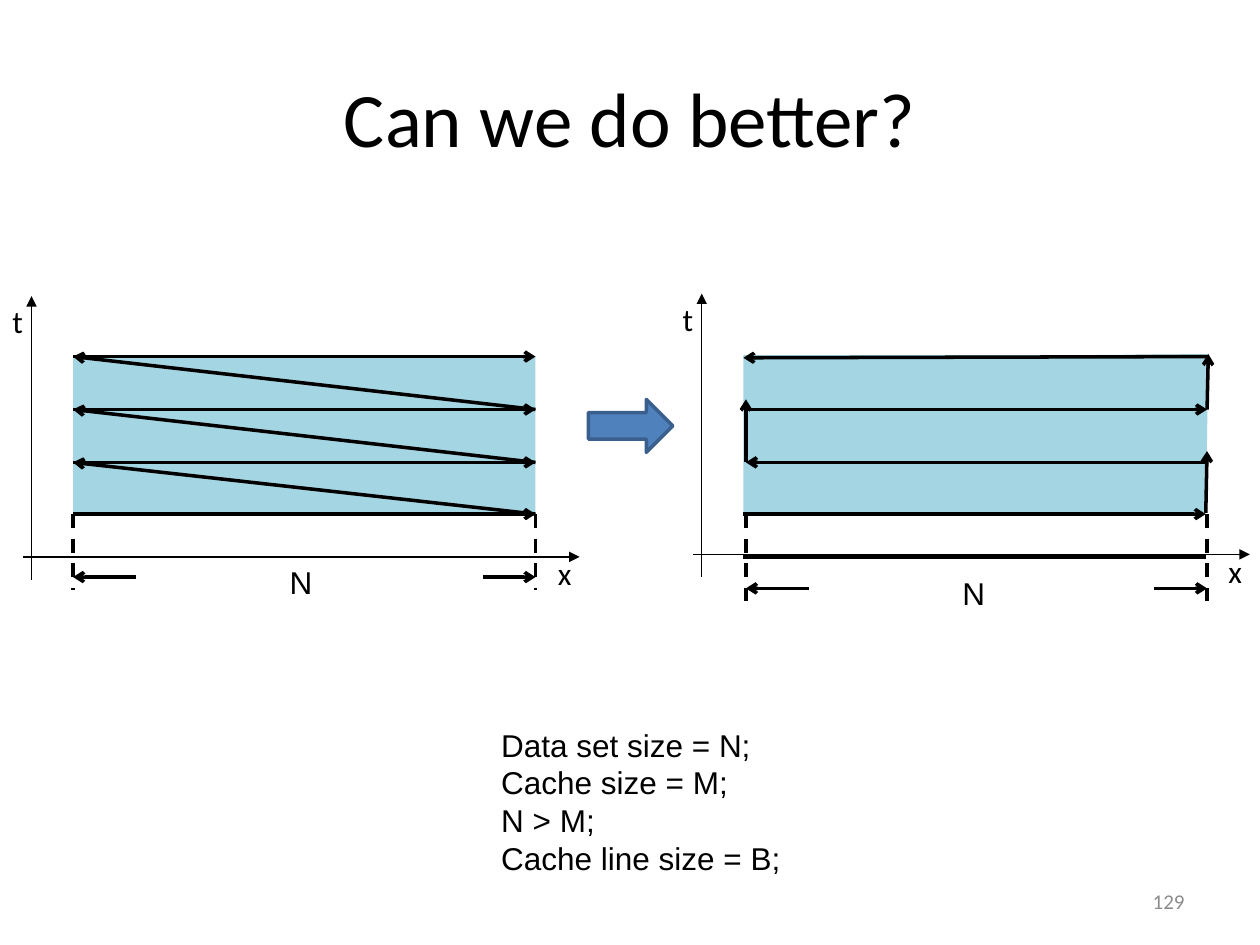
import pptx
import pptx.util
import pptx.dml.color
import pptx.enum.dml
import pptx.enum.shapes
import pptx.enum.text
import pptx.oxml.ns
from lxml import etree

Inches = pptx.util.Inches
Pt = pptx.util.Pt
ALIGN = pptx.enum.text.PP_ALIGN
ANCHOR = pptx.enum.text.MSO_ANCHOR

COLORS = {
    "ink": "000000",
    "region": "4BACC6",
    "arrow": "4F81BD",
    "arrow_edge": "3A5F8C",
    "page": "8C8C8C",
}
ROWS = [4.08, 3.67, 3.25, 2.83]  # time steps, from first to last


def rgb(name):
    return pptx.dml.color.RGBColor.from_string(COLORS[name])


class SlideBuilder:
    """Holds the slide and the style of its elements."""

    def __init__(self, slide):
        self.slide = slide

    def style_paragraph(self, paragraph, size, font, color, align):
        paragraph.alignment = align
        paragraph.font.size = Pt(size)
        paragraph.font.name = font
        paragraph.font.color.rgb = rgb(color)

    def title(self, text):
        shape = self.slide.shapes.title
        shape.left, shape.top = Inches(0.5), Inches(0.3)
        shape.width, shape.height = Inches(9), Inches(1.25)
        shape.text_frame.text = text
        shape.text_frame.vertical_anchor = ANCHOR.MIDDLE
        self.style_paragraph(shape.text_frame.paragraphs[0], 44, "Calibri", "ink", ALIGN.CENTER)

    def text(self, box, lines, font="Arial", size=18, color="ink",
             align=ALIGN.LEFT, anchor=ANCHOR.TOP, wrap=False):
        shape = self.slide.shapes.add_textbox(*map(Inches, box))
        frame = shape.text_frame
        frame.word_wrap = wrap
        frame.vertical_anchor = anchor
        frame.text = "\n".join(lines)
        for paragraph in frame.paragraphs:
            self.style_paragraph(paragraph, size, font, color, align)

    def line(self, start, end, width=2, head=None, dashed=False):
        connector = self.slide.shapes.add_connector(
            pptx.enum.shapes.MSO_CONNECTOR.STRAIGHT, *map(Inches, (*start, *end)))
        connector.line.color.rgb = rgb("ink")
        connector.line.width = Pt(width)
        if dashed:
            connector.line.dash_style = pptx.enum.dml.MSO_LINE.DASH
        properties = connector._element.spPr
        if head:
            outline = properties.find(pptx.oxml.ns.qn("a:ln"))
            etree.SubElement(outline, pptx.oxml.ns.qn("a:tailEnd"), type=head)
        etree.SubElement(properties, pptx.oxml.ns.qn("a:effectLst"))

    def arrow(self, start, end):
        self.line(start, end, head="arrow")

    def region(self, points):
        corners = [tuple(map(Inches, point)) for point in points]
        builder = self.slide.shapes.build_freeform(*corners[0])
        builder.add_line_segments(corners[1:], close=True)
        shape = builder.convert_to_shape()
        shape.shadow.inherit = False
        shape.fill.solid()
        shape.fill.fore_color.rgb = rgb("region")
        shape.line.fill.background()
        color = shape._element.spPr.find(".//" + pptx.oxml.ns.qn("a:srgbClr"))
        etree.SubElement(color, pptx.oxml.ns.qn("a:alpha"), val="50000")

    def block_arrow(self, box):
        shape = self.slide.shapes.add_shape(
            pptx.enum.shapes.MSO_SHAPE.RIGHT_ARROW, *map(Inches, box))
        shape.shadow.inherit = False
        shape.fill.solid()
        shape.fill.fore_color.rgb = rgb("arrow")
        shape.line.color.rgb = rgb("arrow_edge")
        shape.line.width = Pt(2)

    def axes(self, x, y):
        """Draw the x and t axes crossing at (x, y)."""
        self.line((x - 0.07, y), (x + 4.35, y), 0.75, "triangle")
        self.line((x, y + 0.18), (x, y - 2.07), 0.75, "triangle")
        self.text((x - 0.25, y - 2.07, 0.3, 0.4), ["t"], "Calibri")
        self.text((x + 4.08, y - 0.07, 0.35, 0.4), ["x"], "Calibri")

    def extent(self, left, right, y):
        """Mark the data set size N between two dashed lines."""
        for x, tail in ((left, left + 0.5), (right, right - 0.42)):
            self.line((x, ROWS[0]), (x, y + 0.1), dashed=True)
            self.arrow((tail, y), (x, y))
        self.text((left + 1.62, y - 0.16, 0.38, 0.4), ["N"])


def main():
    presentation = pptx.Presentation()
    presentation.slide_width, presentation.slide_height = Inches(10), Inches(7.5)
    slide = presentation.slides.add_slide(presentation.slide_layouts[5])
    builder = SlideBuilder(slide)
    builder.title("Can we do better?")

    # Left diagram: every sweep starts again from the left
    left, right = 0.58, 4.25
    builder.axes(0.25, 4.42)
    builder.region([(left, ROWS[-1]), (right, ROWS[-1]), (right, ROWS[0]), (left, ROWS[0])])
    builder.extent(left, right, 4.58)
    for y in ROWS:
        builder.arrow((left, y), (right, y))
    for y, next_y in zip(ROWS, ROWS[1:]):
        builder.arrow((right, y), (left, next_y))

    # Block arrow between the diagrams
    builder.block_arrow((4.67, 3.17, 0.67, 0.42))

    # Right diagram: sweeps alternate in direction
    left, right = 5.92, 9.58
    builder.axes(5.57, 4.4)
    builder.region([(5.9, 2.82), (8.49, 2.82), (9.59, 2.81), (9.57, 4.07), (5.9, 4.07)])
    builder.line((5.9, 4.42), (9.57, 4.42))
    builder.extent(left, right, 4.67)
    for start, end in [
        ((5.9, ROWS[0]), (9.57, ROWS[0])),
        ((9.57, 4.07), (right, 3.58)),
        ((right, ROWS[1]), (left, ROWS[1])),
        ((left, ROWS[1]), (left, 3.17)),
        ((left, ROWS[2]), (right, ROWS[2])),
        ((right, ROWS[2]), (9.59, 2.81)),
        ((9.59, ROWS[3]), (5.9, 2.84)),
    ]:
        builder.arrow(start, end)

    # Assumptions and slide number
    builder.text((3.88, 5.71, 2.44, 1.31), [
        "Data set size = N;",
        "Cache size = M;",
        "N > M;",
        "Cache line size = B;",
    ])
    builder.text((7.17, 6.95, 2.33, 0.4), ["129"], "Calibri", 12, "page",
                 ALIGN.RIGHT, ANCHOR.MIDDLE, wrap=True)

    presentation.save("out.pptx")


if __name__ == "__main__":
    main()
